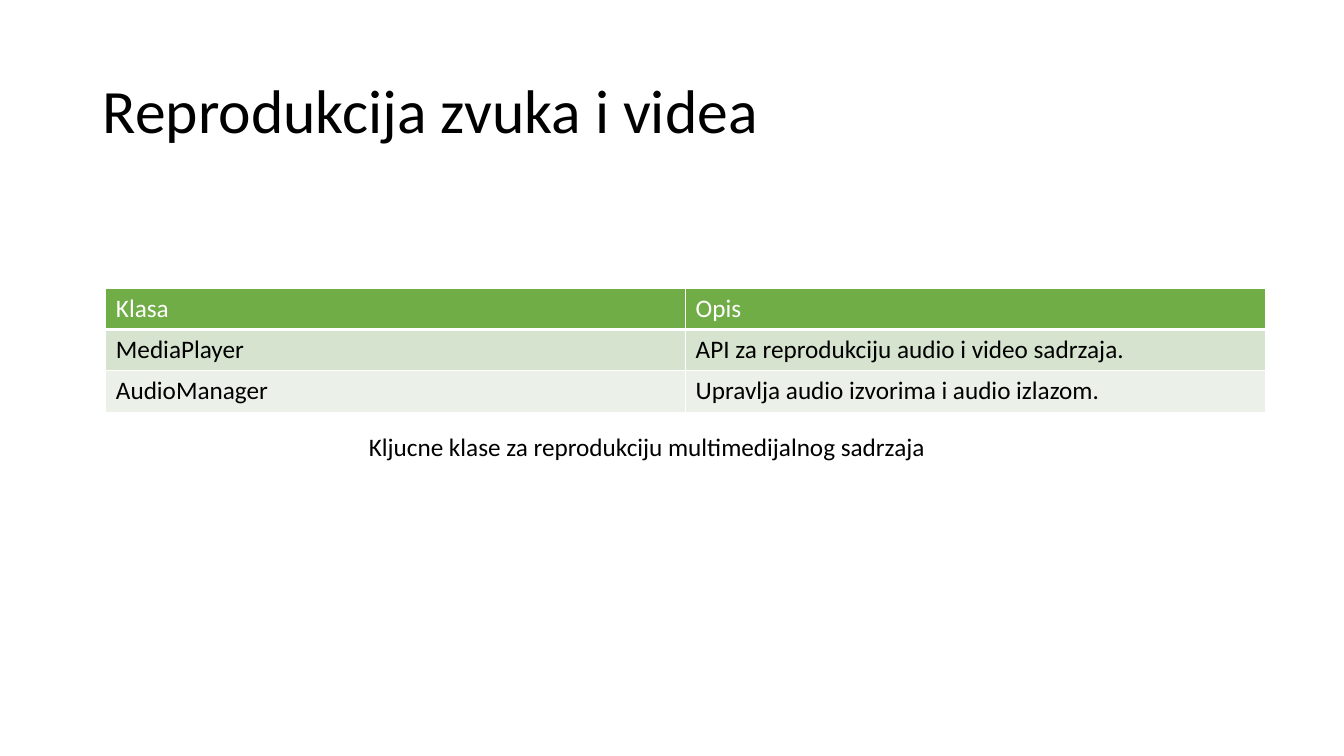
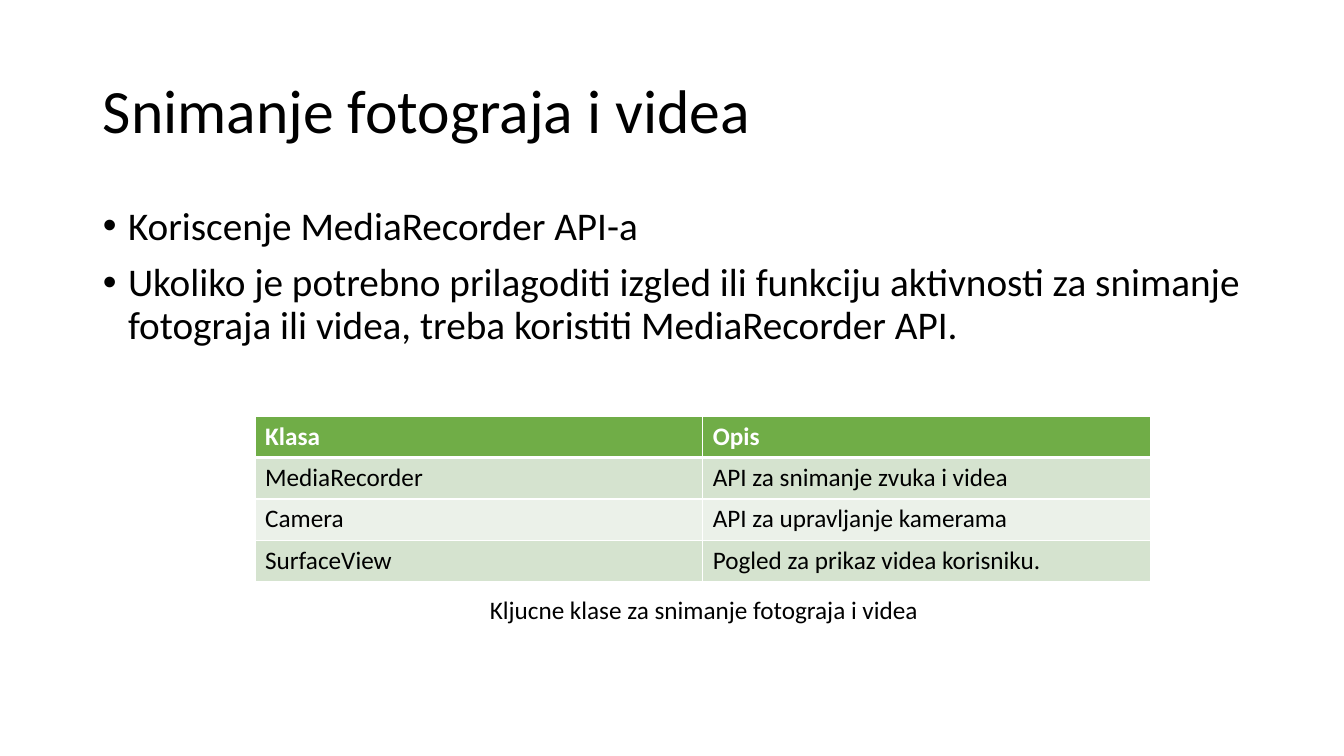
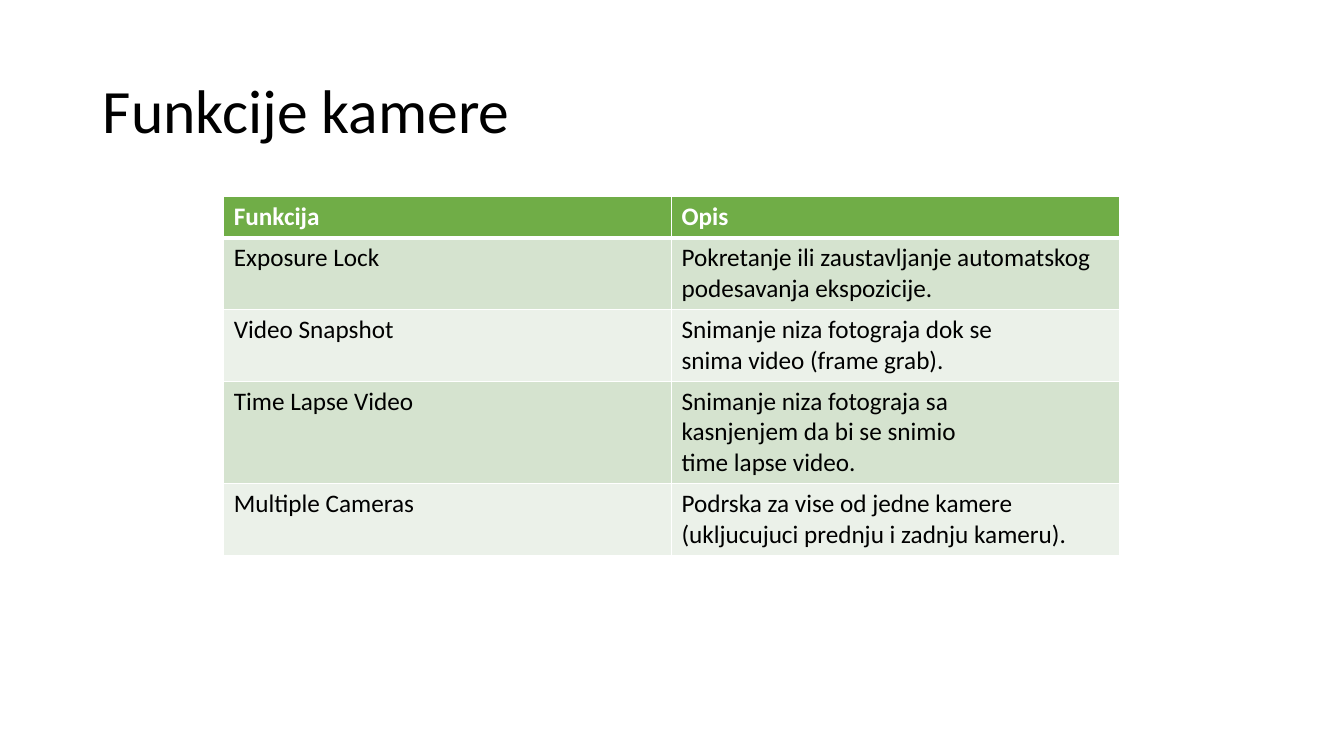
from dataclasses import dataclass
from lxml.etree import SubElement
from pptx import Presentation
from pptx.dml.color import RGBColor
from pptx.enum.text import MSO_ANCHOR, MSO_AUTO_SIZE, PP_ALIGN
from pptx.oxml.ns import qn
from pptx.util import Inches, Pt


@dataclass(frozen=True)
class Theme:
    font: str = "Calibri"
    ink: str = "000000"
    paper: str = "FFFFFF"
    head: str = "70AD47"
    bands: tuple = ("D5E3CF", "EBF1E9")
    title: int = 44
    body: int = 28
    small: int = 18
    thin: int = 1
    thick: int = 3


theme = Theme()


def style(frame, size, color=theme.ink, bold=False):
    for para in frame.paragraphs:
        for run in para.runs:
            font = run.font
            font.name, font.size, font.bold = theme.font, Pt(size), bold
            font.color.rgb = RGBColor.from_string(color)


def border(cell, top, bottom):
    """Draw the four cell edges; call before the fill, which must follow them."""
    props = cell._tc.get_or_add_tcPr()
    widths = {"lnL": theme.thin, "lnR": theme.thin, "lnT": top, "lnB": bottom}
    for tag, width in widths.items():
        line = SubElement(props, qn(f"a:{tag}"), w=str(Pt(width)))
        fill = SubElement(line, qn("a:solidFill"))
        SubElement(fill, qn("a:srgbClr"), val=theme.paper)


# Each table: left, top, column width, bold header, rows.
# Each caption: left, top, width, text.
pages = [
    dict(
        title="Reprodukcija zvuka i videa",
        table=(1.05, 2.86, 5.75, False, [
            ("Klasa", "Opis"),
            ("MediaPlayer", "API za reprodukciju audio i video sadrzaja."),
            ("AudioManager", "Upravlja audio izvorima i audio izlazom."),
        ]),
        note=(3.56, 4.23, 5.9,
              "Kljucne klase za reprodukciju multimedijalnog sadrzaja"),
    ),
    dict(
        title="Snimanje fotograja i videa",
        list=[
            "Koriscenje MediaRecorder API-a",
            "Ukoliko je potrebno prilagoditi izgled ili funkciju aktivnosti "
            "za snimanje fotograja ili videa, treba koristiti "
            "MediaRecorder API.",
        ],
        table=(2.53, 4.13, 4.44, True, [
            ("Klasa", "Opis"),
            ("MediaRecorder", "API za snimanje zvuka i videa"),
            ("Camera", "API za upravljanje kamerama"),
            ("SurfaceView", "Pogled za prikaz videa korisniku."),
        ]),
        note=(4.76, 5.85, 4.96, "Kljucne klase za snimanje fotograja i videa"),
    ),
    dict(
        title="Funkcije kamere",
        table=(2.22, 1.95, 4.44, True, [
            ("Funkcija", "Opis"),
            ("Exposure Lock",
             "Pokretanje ili zaustavljanje automatskog "
             "podesavanja ekspozicije."),
            ("Video Snapshot",
             "Snimanje niza fotograja dok se\nsnima video (frame grab)."),
            ("Time Lapse Video",
             "Snimanje niza fotograja sa\nkasnjenjem da bi se snimio\n"
             "time lapse video."),
            ("Multiple Cameras",
             "Podrska za vise od jedne kamere "
             "(ukljucujuci prednju i zadnju kameru)."),
        ]),
    ),
]

deck = Presentation()
deck.slide_width, deck.slide_height = Inches(13.33), Inches(7.5)
places = [(0.92, 0.4, 11.5, 1.45), (0.92, 2, 11.5, 4.76)]
for holder, place in zip(deck.slide_master.placeholders, places):
    holder.left, holder.top, holder.width, holder.height = map(Inches, place)

for page in pages:
    layout = deck.slide_layouts[1 if "list" in page else 5]
    slide = deck.slides.add_slide(layout)

    frame = slide.shapes.title.text_frame
    frame.text = page["title"]
    frame.auto_size = MSO_AUTO_SIZE.NONE
    frame.vertical_anchor = MSO_ANCHOR.MIDDLE
    frame.paragraphs[0].alignment = PP_ALIGN.LEFT
    frame.paragraphs[0].line_spacing = 0.9
    style(frame, theme.title)

    if "list" in page:
        frame = slide.placeholders[1].text_frame
        frame.text = "\n".join(page["list"])
        frame.auto_size = MSO_AUTO_SIZE.NONE
        for i, para in enumerate(frame.paragraphs):
            props = para._p.get_or_add_pPr()
            props.set("marL", str(Inches(0.25)))
            props.set("indent", str(Inches(-0.25)))
            para.line_spacing = 0.9
            para.space_before = Pt(10 if i else 0)
        style(frame, theme.body)

    left, top, width, bold, rows = page["table"]
    high = 0.41
    table = slide.shapes.add_table(
        len(rows), 2, Inches(left), Inches(top),
        Inches(2 * width), Inches(high * len(rows))).table
    table.horz_banding = False
    for col in table.columns:
        col.width = Inches(width)
    for r, row in enumerate(rows):
        table.rows[r].height = Inches(high)
        for c, text in enumerate(row):
            cell = table.cell(r, c)
            cell.text = text
            border(cell, theme.thick if r == 1 else theme.thin,
                   theme.thin if r else theme.thick)
            cell.fill.solid()
            back = theme.bands[(r - 1) % 2] if r else theme.head
            cell.fill.fore_color.rgb = RGBColor.from_string(back)
            style(cell.text_frame, theme.small,
                  theme.ink if r else theme.paper, bold and r == 0)

    if "note" in page:
        left, top, width, text = page["note"]
        box = slide.shapes.add_textbox(
            Inches(left), Inches(top), Inches(width), Inches(0.4))
        box.text_frame.word_wrap = True
        box.text_frame.text = text
        style(box.text_frame, theme.small)

deck.save("out.pptx")
